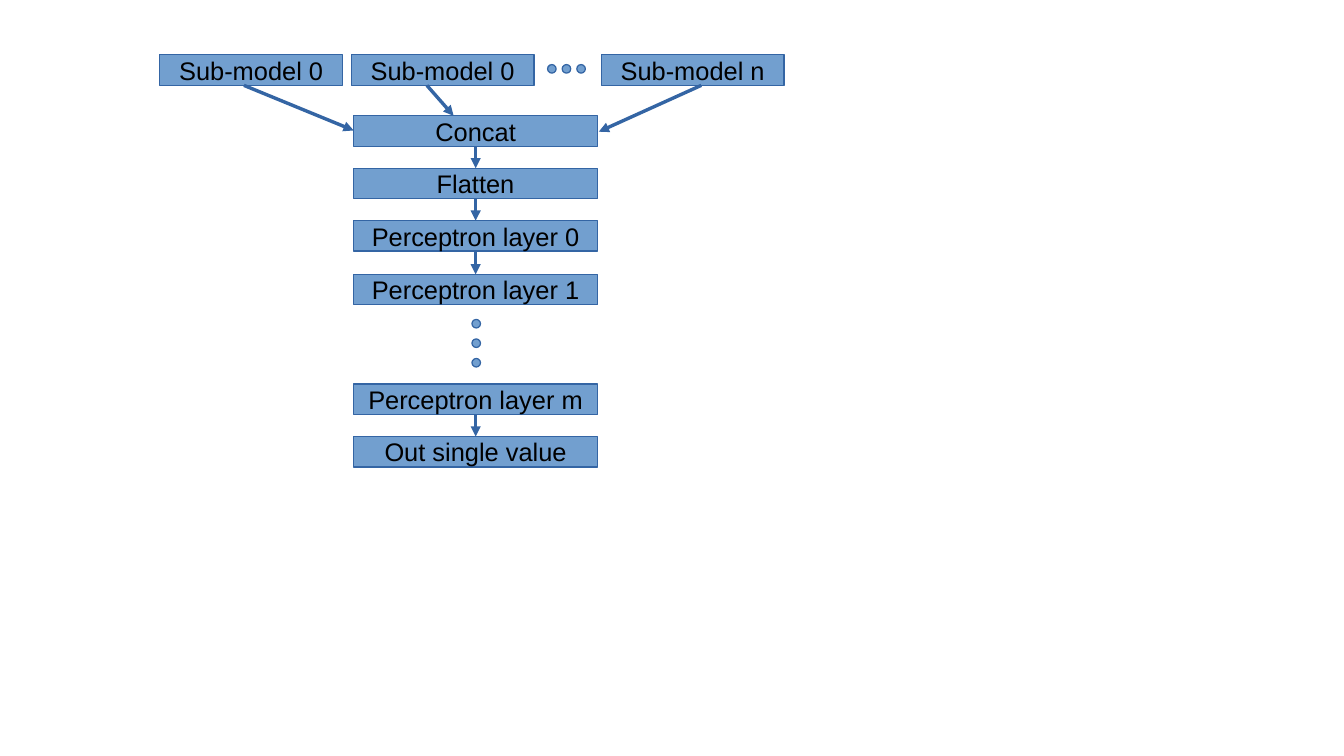
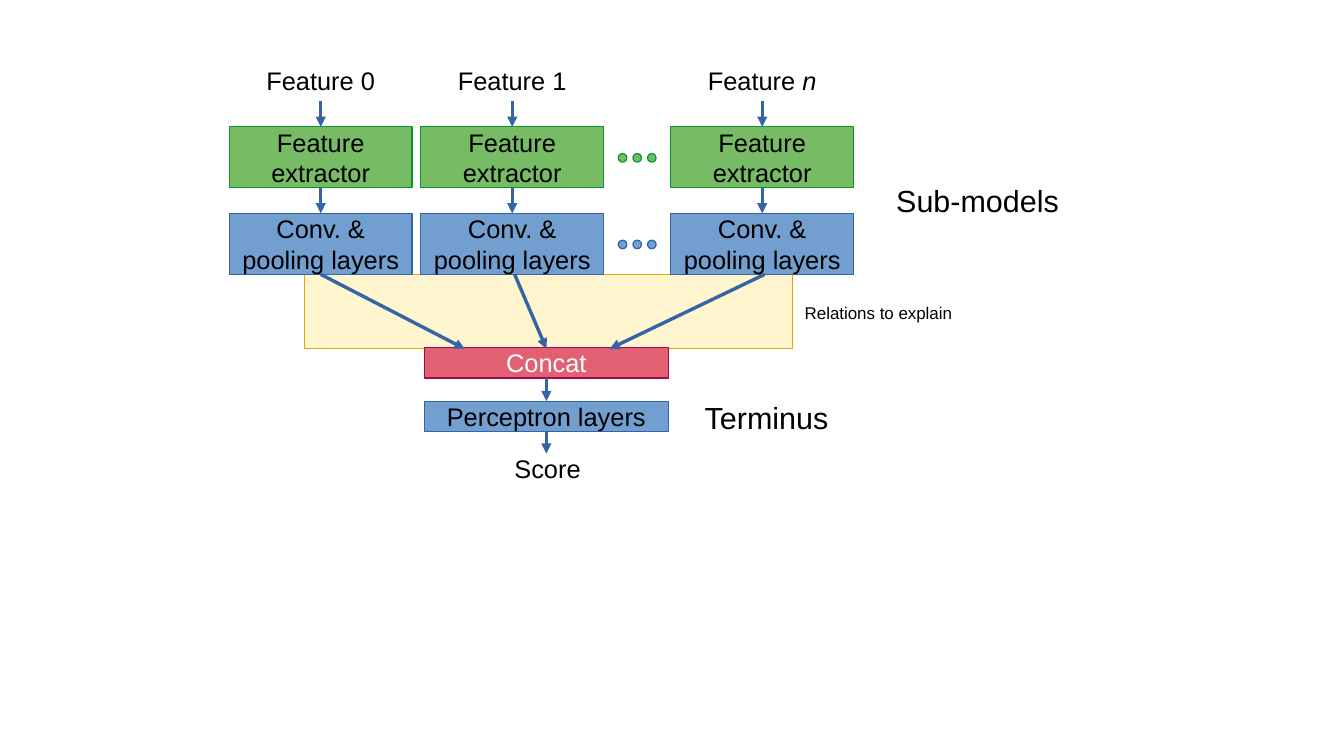
from lxml.etree import SubElement
from pptx import Presentation
from pptx.dml.color import RGBColor
from pptx.enum.shapes import MSO_CONNECTOR, MSO_SHAPE
from pptx.enum.text import MSO_ANCHOR, MSO_AUTO_SIZE, PP_ALIGN
from pptx.oxml.ns import qn
from pptx.util import Emu, Pt

EMU_PER_PX = 9144  # 100 px to the inch


def px(length):
    return Emu(length * EMU_PER_PX)


def color(hex_string):
    return RGBColor.from_string(hex_string)


class Diagram:
    """Holds the shared style and draws on the current slide."""

    FONT = "Arial"
    BODY_SIZE = 15
    DOT_SIZE = 7
    BLACK = "000000"
    WHITE = "FFFFFF"
    # Each scheme is a fill and a line colour
    BLUE = ("729FCF", "3465A4")
    GREEN = ("77BC65", "069A2E")
    RED = ("E16173", "A7074B")
    YELLOW = ("FFF5CE", "E8A202")
    PLAIN = (WHITE, WHITE)

    def __init__(self):
        self.presentation = Presentation()
        self.presentation.slide_width = px(1102)
        self.presentation.slide_height = px(620)
        self.slide = None

    def new_slide(self):
        blank_layout = self.presentation.slide_layouts[6]
        self.slide = self.presentation.slides.add_slide(blank_layout)

    def shape(self, kind, left, top, width, height, scheme):
        fill, line = scheme
        shape = self.slide.shapes.add_shape(
            kind, px(left), px(top), px(width), px(height))
        shape.shadow.inherit = False
        shape.fill.solid()
        shape.fill.fore_color.rgb = color(fill)
        shape.line.color.rgb = color(line)
        shape.line.width = Pt(0)
        return shape

    def set_text(self, shape, text, size, text_color, alignment, italic_end=""):
        """Put text in a shape, with an optional italic ending."""
        text_frame = shape.text_frame
        text_frame.word_wrap = True
        text_frame.text = text
        paragraph = text_frame.paragraphs[0]
        paragraph.alignment = alignment
        if italic_end:
            run = paragraph.add_run()
            run.text = italic_end
            run.font.italic = True
        for run in paragraph.runs:
            run.font.name = self.FONT
            run.font.size = Pt(size)
            run.font.color.rgb = color(text_color)

    def box(self, text, left, top, width, height, scheme=BLUE,
            text_color=BLACK, italic_end=""):
        shape = self.shape(MSO_SHAPE.RECTANGLE, left, top, width, height, scheme)
        shape.text_frame.vertical_anchor = MSO_ANCHOR.MIDDLE
        self.set_text(shape, text, self.BODY_SIZE, text_color,
                      PP_ALIGN.CENTER, italic_end)

    def band(self, left, top, width, height):
        self.shape(MSO_SHAPE.RECTANGLE, left, top, width, height, self.YELLOW)

    def label(self, text, left, top, width, height, size,
              alignment=PP_ALIGN.LEFT):
        text_box = self.slide.shapes.add_textbox(
            px(left), px(top), px(width), px(height))
        self.set_text(text_box, text, size, self.BLACK, alignment)
        text_box.text_frame.auto_size = MSO_AUTO_SIZE.SHAPE_TO_FIT_TEXT

    def dots(self, left, top, step_x=0, step_y=0, scheme=BLUE):
        """Draw three dots that stand for left-out elements."""
        for index in range(3):
            self.shape(MSO_SHAPE.OVAL, left + index * step_x,
                       top + index * step_y, self.DOT_SIZE, self.DOT_SIZE, scheme)

    def arrow(self, start_x, start_y, end_x, end_y):
        connector = self.slide.shapes.add_connector(
            MSO_CONNECTOR.STRAIGHT,
            px(start_x), px(start_y), px(end_x), px(end_y))
        connector.line.color.rgb = color(self.BLUE[1])
        connector.line.width = Pt(0)
        properties = connector._element.spPr
        SubElement(properties.find(qn("a:ln")), qn("a:tailEnd"), type="triangle")
        SubElement(properties, qn("a:effectLst"))


COLUMN_WIDTH = 150
LAYER_WIDTH = 200
LAYER_HEIGHT = 25


def draw_terminus(diagram):
    """Slide 1: the sub-models feed a chain of layers."""
    diagram.new_slide()
    layer_left = 290
    center = layer_left + LAYER_WIDTH // 2
    chains = [
        [("Concat", 95), ("Flatten", 138),
         ("Perceptron layer 0", 181), ("Perceptron layer 1", 225)],
        [("Perceptron layer m", 315), ("Out single value", 358)],
    ]
    for chain in chains:
        for text, top in chain:
            diagram.box(text, layer_left, top, LAYER_WIDTH, LAYER_HEIGHT)
        for (_, upper), (_, lower) in zip(chain, chain[1:]):
            diagram.arrow(center, upper + LAYER_HEIGHT, center, lower)
    diagram.dots(387, 262, step_y=16)

    sub_models = [
        ("Sub-model 0", 131, (200, 70, 290, 107)),
        ("Sub-model 0", 288, (350, 70, 372, 95)),
        ("Sub-model n", 493, (575, 70, 491, 108)),
    ]
    for text, left, arrow in sub_models:
        diagram.box(text, left, 45, COLUMN_WIDTH, LAYER_HEIGHT)
        diagram.arrow(*arrow)
    diagram.dots(449, 53, step_x=12)


def draw_sub_models(diagram):
    """Slide 2: each feature has its own sub-model, joined by the terminus."""
    diagram.new_slide()
    block_height = 50
    feature_top, extractor_top, layers_top = 41, 104, 175
    layers_bottom = layers_top + block_height
    concat_top, perceptron_top = 285, 329
    terminus_left = 348
    center = terminus_left + LAYER_WIDTH // 2

    diagram.band(250, layers_bottom, 400, 61)
    diagram.box("Concat", terminus_left, concat_top, LAYER_WIDTH, LAYER_HEIGHT,
                diagram.RED, diagram.WHITE)
    diagram.box("Perceptron layers", terminus_left, perceptron_top,
                LAYER_WIDTH, LAYER_HEIGHT)
    diagram.arrow(center, concat_top + LAYER_HEIGHT, center, perceptron_top)
    diagram.arrow(center, perceptron_top + LAYER_HEIGHT, center, 372)
    diagram.label("Score", 349, 367, LAYER_WIDTH, 33, diagram.BODY_SIZE,
                  PP_ALIGN.CENTER)

    columns = [
        ("Feature 0", "", 188, 263, 381),
        ("Feature 1", "", 345, 422, 448),
        ("Feature ", "n", 550, 627, 500),
    ]
    for text, italic_end, left, relation_start, relation_end in columns:
        middle = left + COLUMN_WIDTH // 2
        diagram.box(text, left, feature_top, COLUMN_WIDTH, block_height,
                    diagram.PLAIN, italic_end=italic_end)
        diagram.box("Feature extractor", left, extractor_top, COLUMN_WIDTH,
                    block_height, diagram.GREEN)
        diagram.box("Conv. & pooling layers", left, layers_top, COLUMN_WIDTH,
                    block_height)
        for block_top in (extractor_top, layers_top):
            diagram.arrow(middle, block_top - 21, middle, block_top)
        diagram.arrow(relation_start, layers_bottom, relation_end, 286)

    for block_top, scheme in ((extractor_top, diagram.GREEN),
                              (layers_top, diagram.BLUE)):
        diagram.dots(507, block_top + 22, step_x=12, scheme=scheme)

    for text, left, top, height, size in (
            ("Sub-models", 725, 144, 38, 18),
            ("Terminus", 568, 322, 38, 18),
            ("Relations to explain", 650, 243, 31, 10)):
        diagram.label(text, left, top, 175, height, size)


def main():
    diagram = Diagram()
    draw_terminus(diagram)
    draw_sub_models(diagram)
    diagram.presentation.save("out.pptx")


if __name__ == "__main__":
    main()
